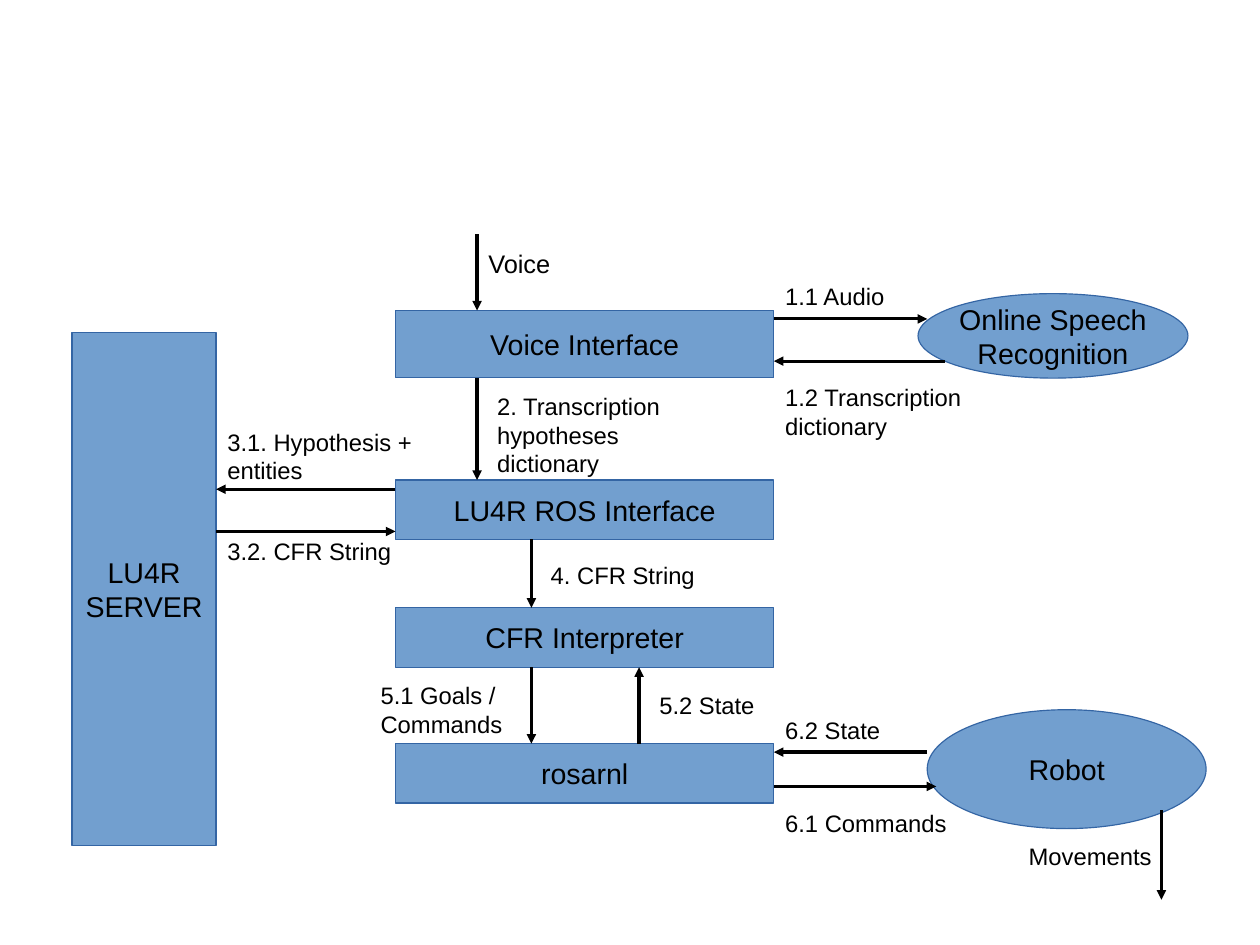
"""Builds the slide showing the message flow between voice, server and robot modules."""
from lxml import etree
from pptx import Presentation
from pptx.dml.color import RGBColor
from pptx.enum.shapes import MSO_CONNECTOR, MSO_SHAPE
from pptx.enum.text import MSO_ANCHOR, PP_ALIGN
from pptx.oxml.ns import qn
from pptx.util import Pt

COLORS = {"fill": "729FCF", "outline": "3465A4", "ink": "000000"}
HAIRLINE = Pt(0)
COLUMN_LEFT, COLUMN_WIDTH = 249.1, 238.3
COLUMN_RIGHT = COLUMN_LEFT + COLUMN_WIDTH
SERVER_LEFT, SERVER_WIDTH = 45.4, 90.7
SERVER_RIGHT = SERVER_LEFT + SERVER_WIDTH
VOICE_TOP, VOICE_BOTTOM = 195.6, 238.1
ROW_HEIGHT = 37.4
ROS_TOP, CFR_TOP, ROSARNL_TOP = 302.4, 382.9, 468.5
VOICE_X, GOALS_X, STATE_X, MOVE_X = 300.5, 334.7, 402.5, 731.5
ROBOT_LEFT = 584


def color(name):
    return RGBColor.from_string(COLORS[name])


def write(frame, lines, size, align):
    for i, line in enumerate(lines):
        paragraph = frame.paragraphs[0] if i == 0 else frame.add_paragraph()
        paragraph.alignment = align
        run = paragraph.add_run()
        run.text = line
        run.font.name = "Arial"
        run.font.size = Pt(size)
        run.font.color.rgb = color("ink")


prs = Presentation()
prs.slide_width, prs.slide_height = Pt(793.6), Pt(595.3)
slide = prs.slides.add_slide(prs.slide_layouts[6])

column = [
    (MSO_SHAPE.RECTANGLE, COLUMN_LEFT, top, COLUMN_WIDTH, height, [name])
    for name, top, height in [
        ("Voice Interface", VOICE_TOP, VOICE_BOTTOM - VOICE_TOP),
        ("LU4R ROS Interface", ROS_TOP, ROW_HEIGHT),
        ("CFR Interpreter", CFR_TOP, ROW_HEIGHT),
        ("rosarnl", ROSARNL_TOP, ROW_HEIGHT),
    ]
]
modules = column + [
    (MSO_SHAPE.RECTANGLE, SERVER_LEFT, 209.5, SERVER_WIDTH, 323.2, ["LU4R", "SERVER"]),
    (MSO_SHAPE.OVAL, 578.2, 185, 170, 53.2, ["Online Speech", "Recognition"]),
    (MSO_SHAPE.OVAL, ROBOT_LEFT, 447.1, 175.7, 74.9, ["Robot"]),
]
for kind, left, top, width, height, lines in modules:
    module = slide.shapes.add_shape(kind, Pt(left), Pt(top), Pt(width), Pt(height))
    module.shadow.inherit = False
    module.fill.solid()
    module.fill.fore_color.rgb = color("fill")
    module.line.color.rgb = color("outline")
    module.line.width = HAIRLINE
    module.text_frame.word_wrap = False
    module.text_frame.vertical_anchor = MSO_ANCHOR.MIDDLE
    write(module.text_frame, lines, 18, PP_ALIGN.CENTER)

arrows = [
    (VOICE_X, 147.6, VOICE_X, VOICE_TOP),
    (COLUMN_RIGHT, 200.9, ROBOT_LEFT, 200.9),
    (595.4, 227.5, COLUMN_RIGHT, 227.5),
    (VOICE_X, VOICE_BOTTOM, VOICE_X, ROS_TOP),
    (COLUMN_LEFT, 308.2, SERVER_RIGHT, 308.2),
    (SERVER_RIGHT, 334.8, COLUMN_LEFT, 334.8),
    (GOALS_X, ROS_TOP + ROW_HEIGHT, GOALS_X, CFR_TOP),
    (GOALS_X, CFR_TOP + ROW_HEIGHT, GOALS_X, ROSARNL_TOP),
    (STATE_X, ROSARNL_TOP, STATE_X, CFR_TOP + ROW_HEIGHT),
    (COLUMN_RIGHT, 495.4, 589.7, 495.4),
    (ROBOT_LEFT, 473.8, COLUMN_RIGHT, 473.8),
    (MOVE_X, 510.5, MOVE_X, 566.8),
]
for ends in arrows:
    arrow = slide.shapes.add_connector(MSO_CONNECTOR.STRAIGHT, *[Pt(v) for v in ends])
    arrow.line.color.rgb = color("ink")
    arrow.line.width = HAIRLINE
    etree.SubElement(arrow.line._get_or_add_ln(), qn("a:tailEnd"), type="triangle")
    etree.SubElement(arrow._element.spPr, qn("a:effectLst"))

labels = [
    ("Voice", VOICE_X, 152.6, 96.5, 25.2, 16),
    ("1.1 Audio", COLUMN_RIGHT, 174.2, 102.2, 26.6, 15),
    ("1.2 Transcription dictionary", COLUMN_RIGHT, 237.6, 130.3, 38.2, 15),
    ("2. Transcription hypotheses dictionary", 306, 243.4, 130.3, 54, 15),
    ("3.1. Hypothesis + entities", SERVER_RIGHT, 265.7, 153.4, 42.5, 15),
    ("3.2. CFR String", SERVER_RIGHT, 334.8, 153.4, 37.4, 15),
    ("4. CFR String", 339.8, 349.9, 153.4, 22.3, 15),
    ("5.1 Goals / Commands", 232.6, 425.5, 153.4, 38.2, 15),
    ("5.2 State", 408.2, 431.3, 96.5, 26.6, 15),
    ("6.1 Commands", COLUMN_RIGHT, 506.2, 118.8, 38.2, 15),
    ("6.2 State", COLUMN_RIGHT, 447.1, 96.5, 26.6, 15),
    ("Movements", 640.8, 527, 108, 47.5, 15),
]
for text, left, top, width, height, size in labels:
    label = slide.shapes.add_textbox(Pt(left), Pt(top), Pt(width), Pt(height))
    label.text_frame.word_wrap = True
    write(label.text_frame, [text], size, PP_ALIGN.LEFT)

prs.save("out.pptx")
